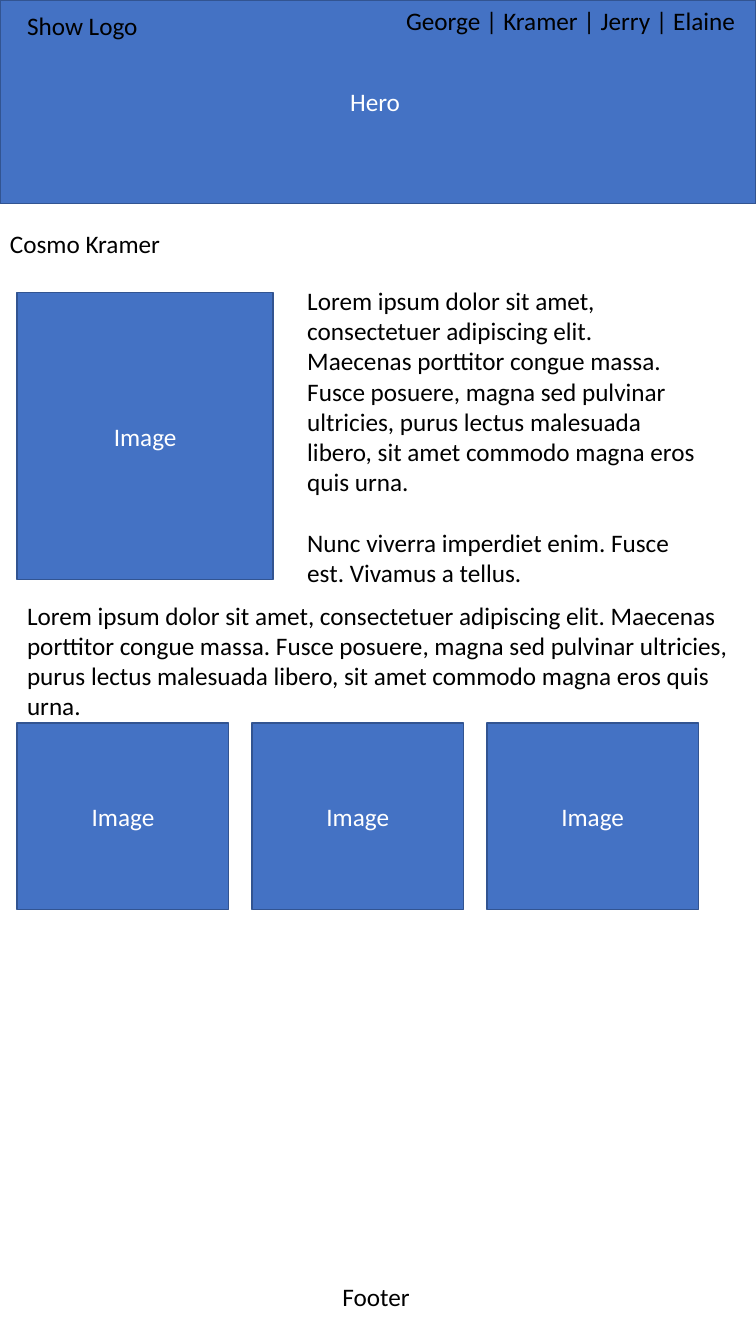
"""Builds a one-page wireframe of a character profile web page."""
from dataclasses import dataclass

from pptx import Presentation
from pptx.dml.color import RGBColor
from pptx.enum.shapes import MSO_SHAPE
from pptx.enum.text import MSO_ANCHOR, MSO_AUTO_SIZE, PP_ALIGN
from pptx.util import Inches, Pt

RECTANGLE = MSO_SHAPE.RECTANGLE
MIDDLE = MSO_ANCHOR.MIDDLE
TOP = MSO_ANCHOR.TOP
FIT_SHAPE = MSO_AUTO_SIZE.SHAPE_TO_FIT_TEXT
LEFT = PP_ALIGN.LEFT
CENTER = PP_ALIGN.CENTER


@dataclass(frozen=True)
class Theme:
    """Colours, font and sizes of the wireframe."""
    block: RGBColor = RGBColor(0x44, 0x72, 0xC4)
    outline: RGBColor = RGBColor(0x32, 0x54, 0x91)
    on_block: RGBColor = RGBColor(0xFF, 0xFF, 0xFF)
    ink: RGBColor = RGBColor(0, 0, 0)
    font: str = "Calibri"
    body: Pt = Pt(18)
    outline_width: Pt = Pt(1)
    paragraph_gap: Pt = Pt(21.6)


THEME = Theme()
MARGIN = 0.17
GALLERY_COUNT = 3
GALLERY_STEP = 2.33
INTRO = (
    "Lorem ipsum dolor sit amet, consectetuer adipiscing elit. "
    "Maecenas porttitor congue massa. Fusce posuere, magna sed pulvinar "
    "ultricies, purus lectus malesuada libero, sit amet commodo magna eros "
    "quis urna."
)
CLOSING = "Nunc viverra imperdiet enim. Fusce est. Vivamus a tellus."


def write_paragraphs(frame, texts, color, align):
    """Write one styled run per paragraph, with a gap between paragraphs."""
    for index, text in enumerate(texts):
        paragraph = frame.add_paragraph() if index else frame.paragraphs[0]
        paragraph.alignment = align
        if index:
            paragraph.space_before = THEME.paragraph_gap
        run = paragraph.add_run()
        run.text = text
        run.font.name = THEME.font
        run.font.size = THEME.body
        run.font.color.rgb = color


def add_block(slide, label, left, top, width, height):
    """Add a filled placeholder block with a centred label."""
    block = slide.shapes.add_shape(
        RECTANGLE, Inches(left), Inches(top), Inches(width), Inches(height))
    block.shadow.inherit = False
    block.fill.solid()
    block.fill.fore_color.rgb = THEME.block
    block.line.color.rgb = THEME.outline
    block.line.width = THEME.outline_width
    block.text_frame.vertical_anchor = MIDDLE
    write_paragraphs(block.text_frame, [label], THEME.on_block, CENTER)


def add_copy(slide, texts, left, top, width, height=0.4, align=LEFT):
    """Add wrapped page text."""
    area = slide.shapes.add_textbox(
        Inches(left), Inches(top), Inches(width), Inches(height))
    frame = area.text_frame
    frame.word_wrap = True
    frame.auto_size = FIT_SHAPE
    frame.vertical_anchor = TOP
    write_paragraphs(frame, texts, THEME.ink, align)


def add_gallery(slide):
    """Add the evenly spaced row of image blocks."""
    for column in range(GALLERY_COUNT):
        add_block(slide, "Image", MARGIN + column * GALLERY_STEP, 7.17, 2.1, 1.85)


def main():
    """Build the page from hero to footer and save it."""
    deck = Presentation()
    deck.slide_width = Inches(7.5)
    deck.slide_height = Inches(13.33)
    page = deck.slides.add_slide(deck.slide_layouts[6])

    add_block(page, "Hero ", 0, 0, 7.5, 2.02)
    add_copy(page, ["Cosmo Kramer"], 0, 2.22, 5)
    add_block(page, "Image", MARGIN, 2.9, 2.54, 2.85)
    add_copy(page, [INTRO, CLOSING], 2.95, 2.78, 4.1, 3.43)
    add_gallery(page)
    add_copy(page, [INTRO], MARGIN, 5.9, 7.33, 1.62)
    add_copy(page, ["Show Logo"], MARGIN, 0.05, 1.59)
    add_copy(page, ["Footer"], 1.07, 12.66, 5.32, align=CENTER)
    add_copy(page, ["George | Kramer | Jerry | Elaine"], 3.93, 0, 3.57)

    deck.save("out.pptx")


if __name__ == "__main__":
    main()
